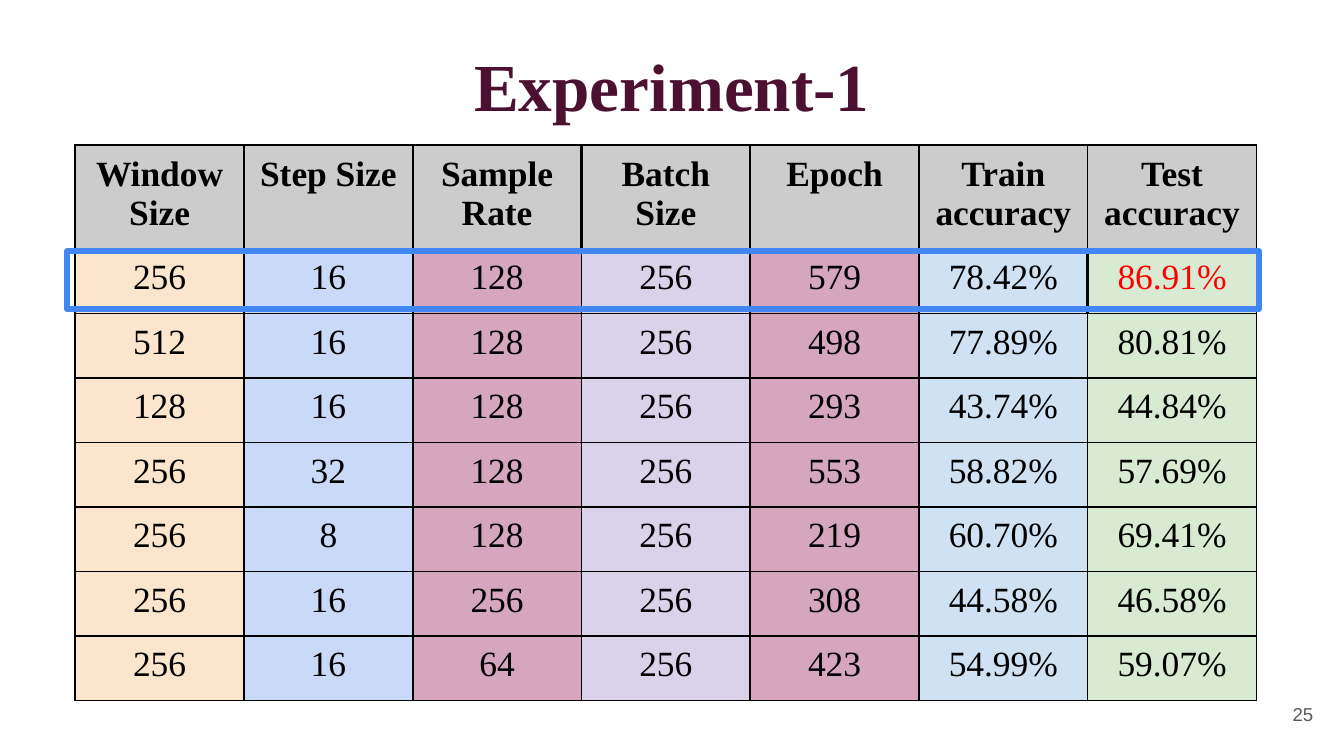
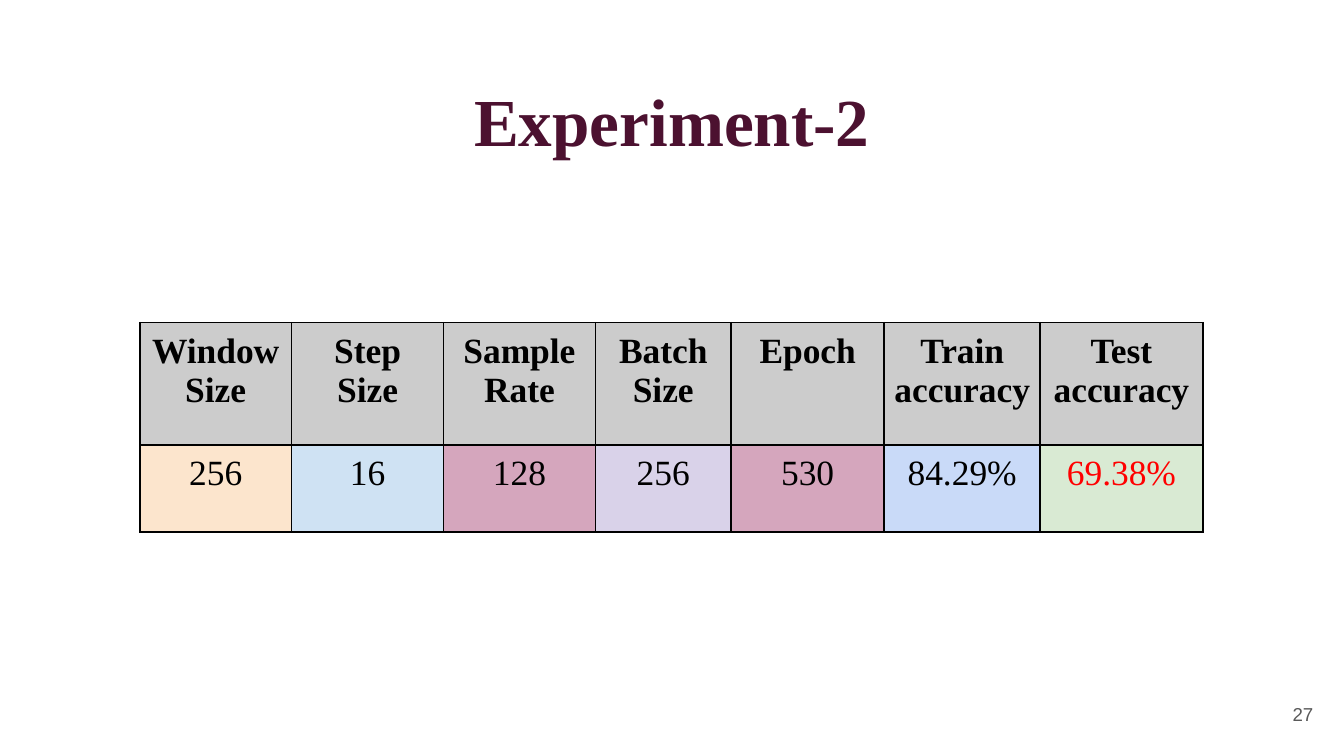
"""Two slides with the tables of experiment settings and accuracies."""
from lxml.etree import SubElement
from pptx import Presentation
from pptx.dml.color import RGBColor
from pptx.enum.shapes import MSO_SHAPE
from pptx.enum.text import MSO_ANCHOR as Anchor, PP_ALIGN as Align
from pptx.oxml.ns import qn
from pptx.util import Inches, Pt

BLACK = RGBColor(0x00, 0x00, 0x00)
RED = RGBColor(0xFF, 0x00, 0x00)
PLUM = RGBColor(0x4C, 0x11, 0x30)
DARK_GREY = RGBColor(0x59, 0x59, 0x59)
GREY = RGBColor(0xCC, 0xCC, 0xCC)
PEACH = RGBColor(0xFC, 0xE5, 0xCD)
BLUE = RGBColor(0xC9, 0xDA, 0xF8)
ROSE = RGBColor(0xD5, 0xA6, 0xBD)
LILAC = RGBColor(0xD9, 0xD2, 0xE9)
SKY = RGBColor(0xCF, 0xE2, 0xF3)
GREEN = RGBColor(0xD9, 0xEA, 0xD3)
HIGHLIGHT = RGBColor(0x42, 0x85, 0xF4)

SERIF, SANS = "Times New Roman", "Arial"
HEADER = ["Window Size", "Step Size", "Sample Rate", "Batch Size", "Epoch",
          "Train accuracy", "Test\naccuracy"]

EXPERIMENTS = [
    dict(title="Experiment-1", title_top=0.23, number="25", corner=(0.56, 1.08),
         columns=[8.79 / 7] * 7, rows=[0.77] + [0.48] * 7,
         fills=[PEACH, BLUE, ROSE, LILAC, ROSE, SKY, GREEN],
         thick={(0, 2): "R", (0, 3): "LRTB", (0, 4): "L",
                (1, 3): "T", (1, 5): "R", (1, 6): "L"},
         best="86.91%", frame=(0.5, 1.87, 8.87, 0.43),
         results=[
             ["256", "16", "128", "256", "579", "78.42%", "86.91%"],
             ["512", "16", "128", "256", "498", "77.89%", "80.81%"],
             ["128", "16", "128", "256", "293", "43.74%", "44.84%"],
             ["256", "32", "128", "256", "553", "58.82%", "57.69%"],
             ["256", "8", "128", "256", "219", "60.70%", "69.41%"],
             ["256", "16", "256", "256", "308", "44.58%", "46.58%"],
             ["256", "16", "64", "256", "423", "54.99%", "59.07%"],
         ]),
    dict(title="Experiment-2", title_top=0.49, number="27", corner=(1.04, 2.4),
         columns=[1.13, 1.13, 1.13, 1.01, 1.14, 1.16, 1.21], rows=[0.91, 0.65],
         fills=[PEACH, SKY, ROSE, LILAC, ROSE, BLUE, GREEN],
         thick={}, best="69.38%", frame=None,
         results=[["256", "16", "128", "256", "530", "84.29%", "69.38%"]]),
]


def write(frame, text, align, size, font, color, bold=False):
    """Fill a text frame with uniformly formatted paragraphs."""
    frame.text = text
    frame.word_wrap = True
    for para in frame.paragraphs:
        para.alignment = align
        for span in para.runs:
            span.font.size = Pt(size)
            span.font.name = font
            span.font.bold = bold
            span.font.color.rgb = color


def draw_borders(cell, thick_sides):
    """Draw black cell borders, heavier on the sides named."""
    properties = cell._tc.get_or_add_tcPr()
    for side in "LRTB":
        width = Pt(1.5 if side in thick_sides else 1)
        line = SubElement(properties, qn(f"a:ln{side}"), w=str(width))
        fill = SubElement(line, qn("a:solidFill"))
        SubElement(fill, qn("a:srgbClr"), val=str(BLACK))


deck = Presentation()
deck.slide_width = Inches(10)
deck.slide_height = deck.slide_width * 9 // 16

for experiment in EXPERIMENTS:
    page = deck.slides.add_slide(deck.slide_layouts[6])

    title = page.shapes.add_textbox(
        Inches(0.34), Inches(experiment["title_top"]), Inches(9.32), Inches(0.63))
    number = page.shapes.add_textbox(
        Inches(9.27), Inches(5.1), Inches(0.6), Inches(0.43))
    for box in (title, number):
        frame = box.text_frame
        frame.margin_left = frame.margin_right = Inches(0.1)
        frame.margin_top = frame.margin_bottom = Inches(0.1)
    write(title.text_frame, experiment["title"], Align.CENTER, 36, SERIF, PLUM, True)
    write(number.text_frame, experiment["number"], Align.RIGHT, 10, SANS, DARK_GREY)
    number.text_frame.vertical_anchor = Anchor.MIDDLE

    columns, rows = experiment["columns"], experiment["rows"]
    left, top = experiment["corner"]
    table = page.shapes.add_table(
        len(rows), len(columns), Inches(left), Inches(top),
        Inches(sum(columns)), Inches(sum(rows))).table
    table.horz_banding = table.first_row = False
    for column, width in zip(table.columns, columns):
        column.width = Inches(width)
    for row, height in zip(table.rows, rows):
        row.height = Inches(height)

    for r, texts in enumerate([HEADER] + experiment["results"]):
        for c, text in enumerate(texts):
            cell = table.cell(r, c)
            color = RED if text == experiment["best"] else BLACK
            write(cell.text_frame, text, Align.CENTER, 19, SERIF, color, r == 0)
            cell.margin_left = cell.margin_right = Inches(0.07)
            cell.margin_top = cell.margin_bottom = Inches(0.07)
            draw_borders(cell, experiment["thick"].get((r, c), ""))
            cell.fill.solid()
            cell.fill.fore_color.rgb = experiment["fills"][c] if r else GREY

    if experiment["frame"]:
        marker = page.shapes.add_shape(
            MSO_SHAPE.RECTANGLE, *map(Inches, experiment["frame"]))
        marker.shadow.inherit = False
        marker.fill.background()
        marker.line.color.rgb = HIGHLIGHT
        marker.line.width = Pt(3)

deck.save("out.pptx")
